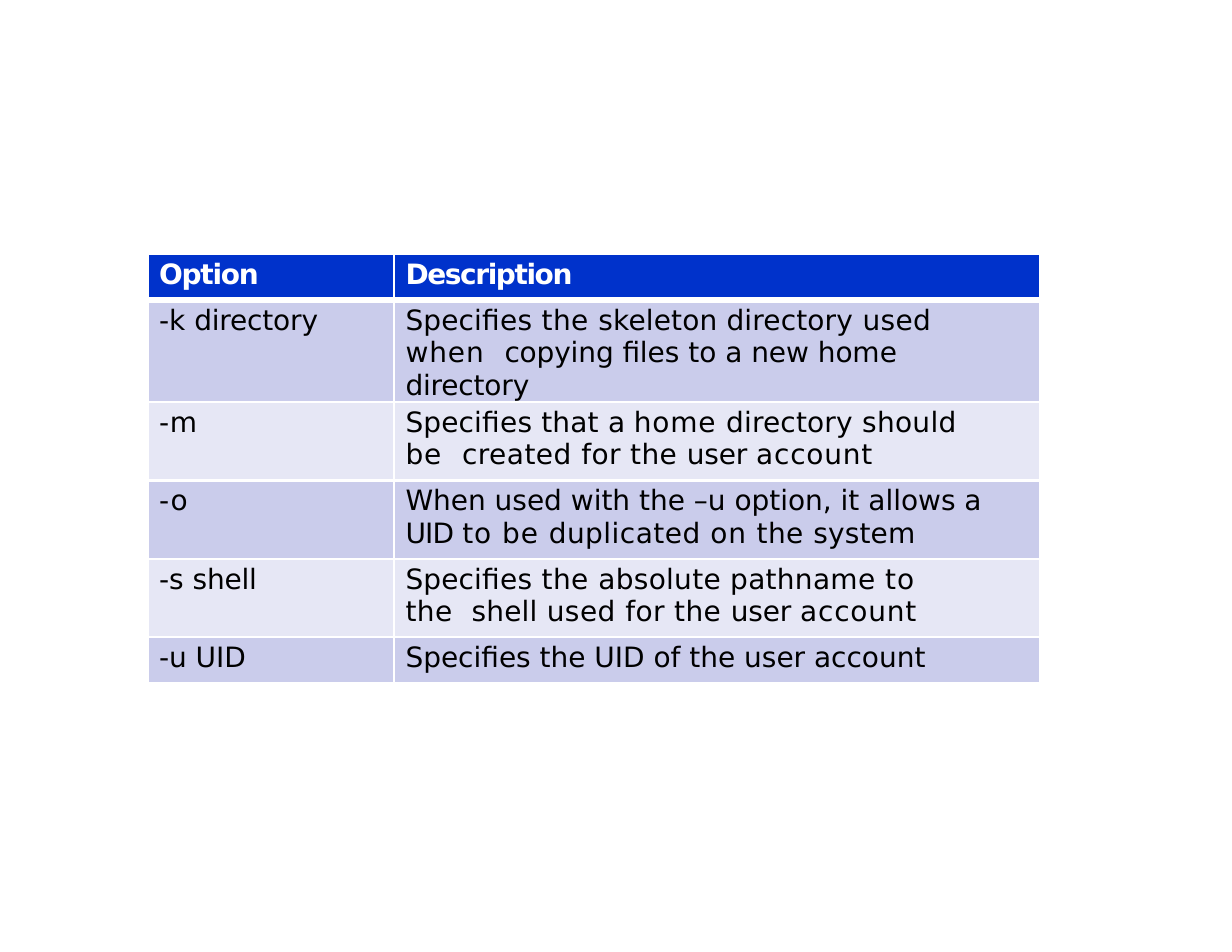
import pptx
import pptx.dml.color
import pptx.oxml.ns
import pptx.util
import lxml.etree

INK = {"head": "0032CB", "odd": "CACCEB", "even": "E6E7F5",
       "white": "FFFFFF", "black": "000000"}
FONT = "DejaVu Sans"
WIDE, HIGH = 11, 8.5
BOX = (0.12, 0.267, 0.724, 0.426)
COLS = (2.2, 5.76)
ROWS = (0.41, 0.7, 0.7, 0.7, 0.7, 0.41)
INDENT = 0.1
RIGHT = (0, 0.65, 0.55, 0.4, 0.8, 0)

TEXT = [
    ([("Option", -0.8)], [("Description", -0.9)]),
    ([("-", -0.1), ("k ", 0), ("directory", -0.1)],
     [("Specifies ", 0.1), ("the ", 0.3), ("skeleton directory ", 0.1),
      ("used ", 0.2), ("when  ", 0.6), ("copyin", -0.1), ("g ", 0),
      ("file", -0.1), ("s ", 0), ("t", -0.1), ("o a ", 0), ("ne", -0.1),
      ("w ", 0), ("hom", -0.1), ("e ", 0), ("directory", -0.1)]),
    ([("-m", 0.5)],
     [("Specifies that ", 0.1), ("a ", -0.2), ("home ", 0.5),
      ("directory ", 0.1), ("should ", 0.2), ("be  ", 0.6),
      ("created ", 0.3), ("for ", 0.2), ("the ", 0.3), ("user ", -0.1),
      ("account", 0.5)]),
    ([("-o", 0.6)],
     [("When used with the –u option, it allows a  ", 0), ("UID ", -0.5),
      ("to be ", 0.6), ("duplicated ", 0.3), ("on ", 0.5), ("the ", 0.3),
      ("system", 0.1)]),
    ([("-", -0.1), ("s ", 0), ("shell", -0.1)],
     [("Specifies ", 0.1), ("the ", 0.3), ("absolute pathname ", 0.2),
      ("to ", 0.6), ("the  ", 0.3), ("shell ", 0.1), ("used ", 0.3),
      ("for ", 0.2), ("the ", 0.3), ("user ", -0.1), ("account", 0.5)]),
    ([("-u UID", 0)], [("Specifies the UID of the user account", 0)]),
]


def tint(name):
    """Return a named colour."""
    return pptx.dml.color.RGBColor.from_string(INK[name])


def edge(cell, side, width):
    """Draw a white line on one side of a cell."""
    name = pptx.oxml.ns.qn
    line = lxml.etree.SubElement(cell._tc.get_or_add_tcPr(), name("a:ln" + side),
                                 w=str(int(pptx.util.Pt(width))))
    fill = lxml.etree.SubElement(line, name("a:solidFill"))
    lxml.etree.SubElement(fill, name("a:srgbClr"), val=INK["white"])


def write(cell, runs, head, right):
    """Fill a cell with one paragraph of spaced runs."""
    cell.margin_left = cell.margin_right = cell.margin_bottom = 0
    cell.margin_top = pptx.util.Inches(0.04)
    para = cell.text_frame.paragraphs[0]
    para.space_before = pptx.util.Pt(2.8 if head else 2.7)
    props = para._p.get_or_add_pPr()
    props.set("marL", str(int(pptx.util.Inches(INDENT))))
    props.set("marR", str(int(pptx.util.Inches(right))))
    props.set("indent", "0")
    for words, gap in runs:
        run = para.add_run()
        run.text = words
        run.font.name = FONT
        run.font.size = pptx.util.Pt(18)
        run.font.bold = head
        run.font.color.rgb = tint("white" if head else "black")
        run._r.get_or_add_rPr().set("spc", str(round(gap * 100)))


def draw_grid(slide, box):
    """Place the option table in a box given as shares of the slide."""
    left, top, wide, high = (pptx.util.Inches(part * size) for part, size
                             in zip(box, (WIDE, HIGH, WIDE, HIGH)))
    table = slide.shapes.add_table(len(ROWS), len(COLS), left, top, wide, high).table
    for col, part in zip(table.columns, COLS):
        col.width = int(wide * part / sum(COLS))
    for row, part in zip(table.rows, ROWS):
        row.height = int(high * part / sum(ROWS))
    for r, line in enumerate(TEXT):
        kind = "head" if r == 0 else "odd" if r % 2 else "even"
        for c, runs in enumerate(line):
            cell = table.cell(r, c)
            write(cell, runs, r == 0, RIGHT[r] if c else 0)
            edge(cell, "L", 1.5)
            edge(cell, "R", 1 if c else 1.5)
            edge(cell, "T", 4.25 if r == 1 else 1.5)
            edge(cell, "B", 4.25 if r == 0 else 1.5)
            cell.fill.solid()
            cell.fill.fore_color.rgb = tint(kind)


def main():
    """Build and save the slide."""
    deck = pptx.Presentation()
    deck.slide_width = pptx.util.Inches(WIDE)
    deck.slide_height = pptx.util.Inches(HIGH)
    draw_grid(deck.slides.add_slide(deck.slide_layouts[6]), BOX)
    deck.save("out.pptx")


if __name__ == "__main__":
    main()
